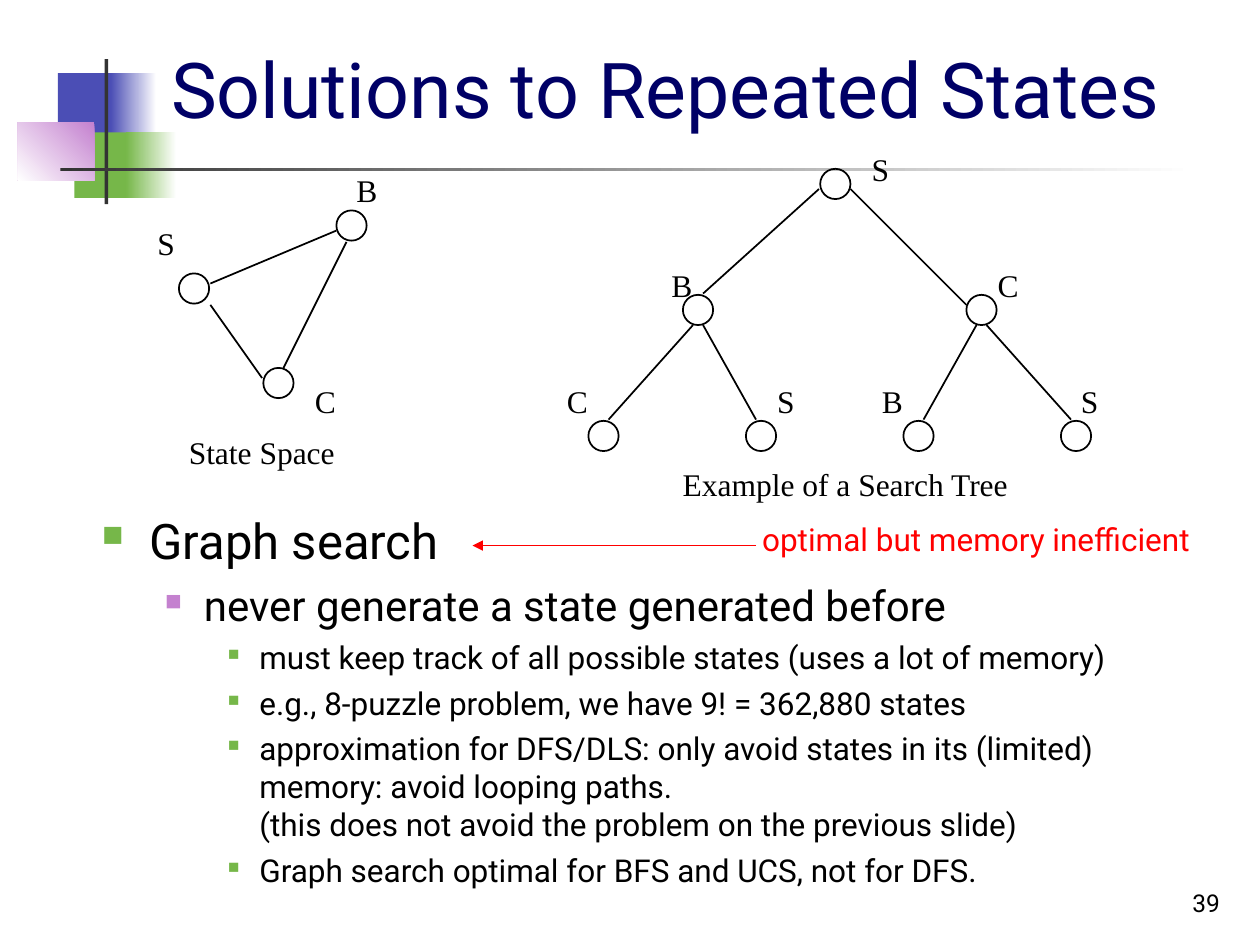
"""Build the slide on solutions to repeated states in search."""
from lxml.etree import SubElement
from pptx import Presentation
from pptx.dml.color import RGBColor
from pptx.enum.shapes import MSO_CONNECTOR as Connector, MSO_SHAPE as Shape
from pptx.enum.text import MSO_ANCHOR as Anchor, PP_ALIGN as Align
from pptx.oxml.ns import qn
from pptx.util import Inches, Pt

COLORS = {"blue": "4B4EB5", "green": "76B749", "purple": "C481CF", "dark": "333333",
          "white": "FFFFFF", "navy": "000066", "black": "000000", "red": "FF0000"}
SANS, SERIF = "Roboto", "Times New Roman"

# left, top, width, height, colour, gradient angle to white (None is solid)
DECORATION = [
    (0.46, 0.58, 0.48, 0.52, "blue", None),
    (0.88, 0.58, 0.36, 0.52, "blue", 0),
    (0.59, 1.05, 0.46, 0.52, "green", None),
    (1.00, 1.05, 0.40, 0.52, "green", 0),
    (0.14, 0.97, 0.61, 0.46, "purple", 225),
    (0.83, 0.47, 0.03, 1.15, "dark", None),
    (0.48, 1.33, 9.00, 0.03, "dark", 0),
]
TITLE = "Solutions to Repeated States"
OUTLINE = [
    (0, "Graph search"),
    (1, "never generate a state generated before"),
    (2, "must keep track of all possible states (uses a lot of memory)"),
    (2, "e.g., 8-puzzle problem, we have 9! = 362,880 states"),
    (2, "approximation for DFS/DLS: only avoid states in its (limited) memory: "
        "avoid looping paths.\v(this does not avoid the problem on the previous slide)"),
    (2, "Graph search optimal for BFS and UCS, not for DFS."),
]
# text size, left margin, hanging indent, space before, bullet colour, bullet percent
LEVELS = [(28, 0.38, 0.38, 7, "green", 60),
          (24, 0.81, 0.31, 6, "purple", 55),
          (18, 1.25, 0.25, 4.5, "green", 50)]

# state, node left and top, label left and top
STATE_SPACE = [("S", 1.42, 2.17, 1.15, 1.73), ("C", 2.09, 2.92, 2.40, 2.98),
               ("B", 2.67, 1.67, 2.73, 1.31)]
SEARCH_TREE = [("S", 6.51, 1.34, 6.82, 1.14),
               ("B", 5.42, 2.34, 5.23, 2.06), ("C", 7.67, 2.34, 7.82, 2.06),
               ("C", 4.67, 3.34, 4.40, 2.98), ("S", 5.92, 3.34, 6.07, 2.98),
               ("B", 7.17, 3.34, 6.90, 2.98), ("S", 8.42, 3.34, 8.48, 2.98)]
EDGES = [(1.67, 2.25, 2.67, 1.83), (2.75, 1.92, 2.25, 2.92), (1.67, 2.42, 2.08, 3.00),
         (6.50, 1.50, 5.58, 2.33), (6.75, 1.50, 7.67, 2.42),
         (5.50, 2.58, 4.83, 3.33), (5.58, 2.58, 6.00, 3.33),
         (7.75, 2.58, 7.33, 3.33), (7.83, 2.58, 8.50, 3.33)]
CAPTIONS = [("State Space", 1.40, 3.39, 1.36), ("Example of a Search Tree", 5.32, 3.64, 2.79)]
NODE_SIZE = 0.24
LABEL_WIDTHS = {"S": 0.34, "B": 0.37, "C": 0.37}


def rgb(name):
    return RGBColor.from_string(COLORS[name])


def style_font(font, size, name, color):
    font.size, font.name = Pt(size), name
    font.color.rgb = rgb(color)


def add_decoration(page, left, top, width, height, color, angle):
    block = page.shapes.add_shape(Shape.RECTANGLE, *map(Inches, (left, top, width, height)))
    block.shadow.inherit = False
    block.line.fill.background()
    if angle is None:
        block.fill.solid()
        block.fill.fore_color.rgb = rgb(color)
        return
    block.fill.gradient()
    block.fill.gradient_angle = angle
    for stop, name in zip(block.fill.gradient_stops, (color, "white")):
        stop.color.rgb = rgb(name)


def add_text(page, text, left, top, width, height=0.4, size=18, name=SERIF, color="black",
             wrap=False, anchor=Anchor.TOP, align=Align.LEFT):
    box = page.shapes.add_textbox(*map(Inches, (left, top, width, height)))
    frame = box.text_frame
    frame.word_wrap, frame.vertical_anchor = wrap, anchor
    frame.text = text
    para = frame.paragraphs[0]
    para.alignment = align
    style_font(para.runs[0].font, size, name, color)


def add_node(page, left, top):
    node = page.shapes.add_shape(Shape.OVAL, *map(Inches, (left, top, NODE_SIZE, NODE_SIZE)))
    node.shadow.inherit = False
    node.fill.background()
    node.line.color.rgb, node.line.width = rgb("black"), Pt(1)


def add_line(page, ends, color="black", width=1, arrow=False):
    line = page.shapes.add_connector(Connector.STRAIGHT, *map(Inches, ends))
    line.line.color.rgb, line.line.width = rgb(color), Pt(width)
    if arrow:
        SubElement(line.line._get_or_add_ln(), qn("a:tailEnd"), type="triangle")
    SubElement(line._element.spPr, qn("a:effectLst"))


def add_outline(page):
    box = page.shapes.add_textbox(*map(Inches, (0.71, 4, 8.58, 3.08)))
    frame = box.text_frame
    frame.word_wrap = True
    for index, (level, text) in enumerate(OUTLINE):
        size, margin, hang, space, bullet, percent = LEVELS[level]
        para = frame.add_paragraph() if index else frame.paragraphs[0]
        para.text, para.level = text, level
        props = para._p.get_or_add_pPr()
        props.set("marL", str(Inches(margin)))
        props.set("indent", str(-Inches(hang)))
        SubElement(SubElement(props, qn("a:buClr")), qn("a:srgbClr"), val=COLORS[bullet])
        SubElement(props, qn("a:buSzPct"), val=str(percent * 1000))
        SubElement(props, qn("a:buChar"), char="■")
        if index:
            para.space_before = Pt(space)
        for span in para.runs:
            style_font(span.font, size, SANS, "black")


def main():
    deck = Presentation()
    deck.slide_width, deck.slide_height = Inches(10), Inches(7.5)
    page = deck.slides.add_slide(deck.slide_layouts[6])
    for block in DECORATION:
        add_decoration(page, *block)
    add_text(page, TITLE, 1.26, 0.23, 8.52, 0.93, size=44, name=SANS, color="navy",
             wrap=True, anchor=Anchor.MIDDLE)
    add_outline(page)
    for state, left, top, label_left, label_top in STATE_SPACE + SEARCH_TREE:
        add_node(page, left, top)
        add_text(page, state, label_left, label_top, LABEL_WIDTHS[state])
    for ends in EDGES:
        add_line(page, ends)
    for caption in CAPTIONS:
        add_text(page, *caption)
    add_line(page, (6, 4.33, 3.75, 4.33), color="red", width=0.75, arrow=True)
    add_text(page, "optimal but memory inefficient", 5.95, 4.08, 3.85, name=SANS,
             color="red", wrap=True)
    add_text(page, "39", 7.7, 6.83, 2.08, 0.5, size=14, name=SANS, wrap=True,
             anchor=Anchor.BOTTOM, align=Align.RIGHT)
    deck.save("out.pptx")


if __name__ == "__main__":
    main()
